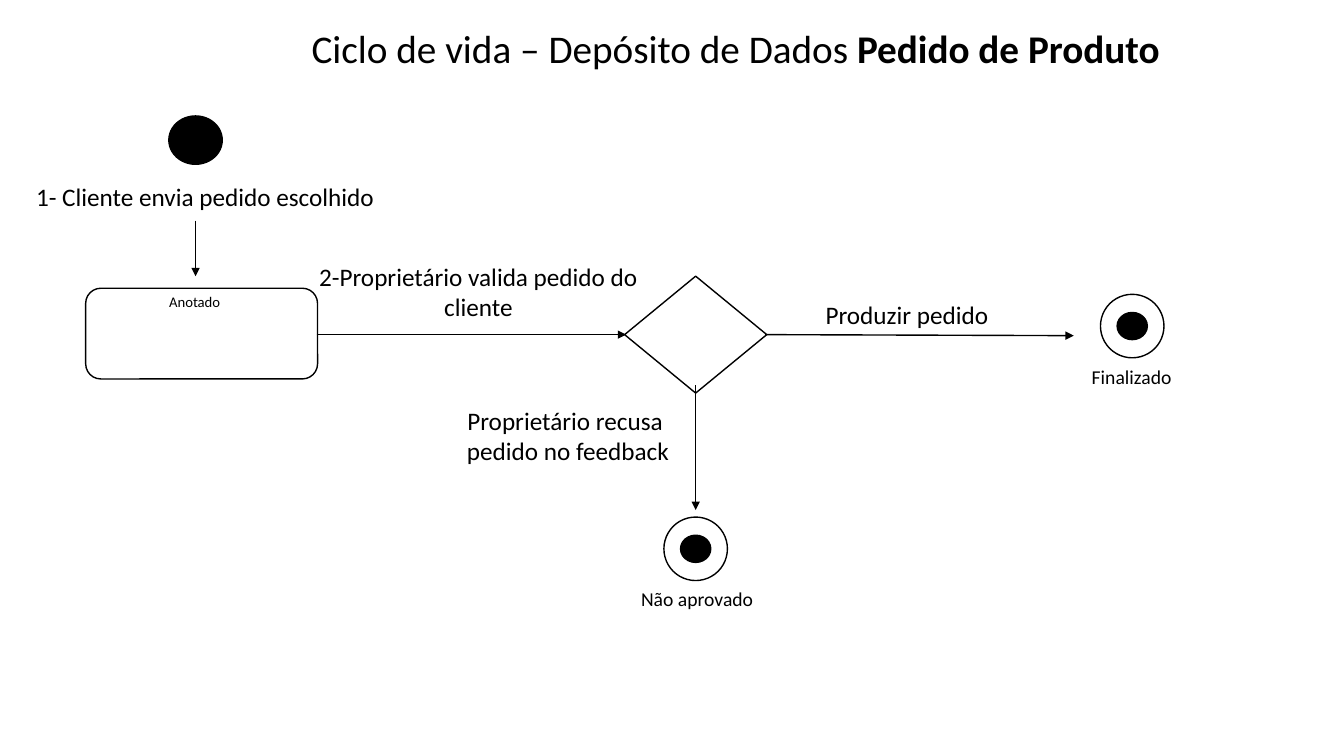
from dataclasses import dataclass

from lxml.etree import SubElement
from pptx import Presentation
from pptx.dml.color import RGBColor
from pptx.enum.shapes import MSO_CONNECTOR as Connector, MSO_SHAPE as Shape
from pptx.enum.text import MSO_ANCHOR as Anchor, MSO_AUTO_SIZE as AutoSize, PP_ALIGN as Align
from pptx.oxml.ns import qn
from pptx.util import Inches, Pt


@dataclass(frozen=True)
class Theme:
    font: str = "Calibri"
    ink: RGBColor = RGBColor(0, 0, 0)
    paper: RGBColor = RGBColor(255, 255, 255)
    line: float = 1
    title: float = 28
    step: float = 18
    end: float = 14
    state: float = 10.5


theme = Theme()

# Grid: centre lines of the diagram, in inches
columns = {"order": 1.94, "decision": 6.9, "finished": 11.23}
rows = {"start": 1.39, "finished": 3.235, "flow": 3.32, "rejected": 5.445}

presentation = Presentation()
presentation.slide_width, presentation.slide_height = Inches(13.33), Inches(7.5)
slide = presentation.slides.add_slide(presentation.slide_layouts[5])


def add_node(kind, center_x, center_y, width, height, fill):
    shape = slide.shapes.add_shape(kind, Inches(center_x - width / 2), Inches(center_y - height / 2),
                                   Inches(width), Inches(height))
    shape.shadow.inherit = False
    shape.fill.solid()
    shape.fill.fore_color.rgb = fill
    shape.line.color.rgb = theme.ink
    shape.line.width = Pt(theme.line)


def write_text(shape, box, paragraphs, size, align=Align.LEFT, wrap=False):
    shape.left, shape.top, shape.width, shape.height = map(Inches, box)
    frame = shape.text_frame
    frame_format = {"word_wrap": wrap, "vertical_anchor": Anchor.TOP,
                    "auto_size": AutoSize.SHAPE_TO_FIT_TEXT}
    for name, value in frame_format.items():
        setattr(frame, name, value)
    for index, runs in enumerate(paragraphs):
        paragraph = frame.add_paragraph() if index else frame.paragraphs[0]
        paragraph.alignment = align
        for text, bold in runs:
            run = paragraph.add_run()
            run.text = text
            run_format = {"name": theme.font, "size": Pt(size), "bold": bold}
            for name, value in run_format.items():
                setattr(run.font, name, value)
            run.font.color.rgb = theme.ink


# Title
write_text(slide.shapes.title, (2.99, 0.19, 8.73, 0.57),
           [[("Ciclo de vida – Depósito de Dados ", False), ("Pedido de Produto ", True)]],
           theme.title)

# Start, order state and decision
add_node(Shape.OVAL, columns["order"], rows["start"], 0.53, 0.48, theme.ink)
add_node(Shape.ROUNDED_RECTANGLE, 2, 3.31, 2.3, 0.9, theme.paper)
add_node(Shape.DIAMOND, columns["decision"], rows["flow"], 1.41, 1.16, theme.paper)

# End states: a ring around a dot
for column, row in (("decision", "rejected"), ("finished", "finished")):
    center = columns[column], rows[row]
    add_node(Shape.OVAL, *center, 0.63, 0.63, theme.paper)
    add_node(Shape.OVAL, *center, 0.3, 0.27, theme.ink)

# Arrows
arrows = [
    (columns["order"], 2.19, columns["order"], 2.74),
    (3.14, rows["flow"], 6.21, rows["flow"]),
    (7.59, rows["flow"], 10.65, 3.33),
    (columns["decision"], 3.82, columns["decision"], 5.06),
]
for ends in arrows:
    connector = slide.shapes.add_connector(Connector.STRAIGHT, *map(Inches, ends))
    connector.line.color.rgb = theme.ink
    connector.line.width = Pt(theme.line)
    properties = connector._element.spPr
    SubElement(properties.find(qn("a:ln")), qn("a:tailEnd"), type="triangle")
    SubElement(properties, qn("a:effectLst"))

# Labels: box, lines, size, alignment, wrapping
labels = [
    ((0.26, 1.75, 3.6, 0.4), ["1- Cliente envia pedido escolhido"], theme.step, Align.LEFT, False),
    ((1.58, 2.86, 0.72, 0.28), ["Anotado"], theme.state, Align.LEFT, False),
    ((2.88, 2.54, 3.73, 0.71), ["2-Proprietário valida pedido do cliente"], theme.step, Align.CENTER, True),
    ((4.46, 3.97, 2.29, 0.71), ["Proprietário recusa", " pedido no feedback"], theme.step, Align.CENTER, False),
    ((8.09, 2.92, 1.84, 0.4), ["Produzir pedido"], theme.step, Align.LEFT, False),
    ((6.26, 5.77, 1.32, 0.34), ["Não aprovado"], theme.end, Align.LEFT, False),
    ((10.73, 3.57, 1, 0.34), ["Finalizado"], theme.end, Align.LEFT, False),
]
for box, lines, size, align, wrap in labels:
    label = slide.shapes.add_textbox(*map(Inches, box))
    write_text(label, box, [[(line, False)] for line in lines], size, align, wrap)

presentation.save("out.pptx")
